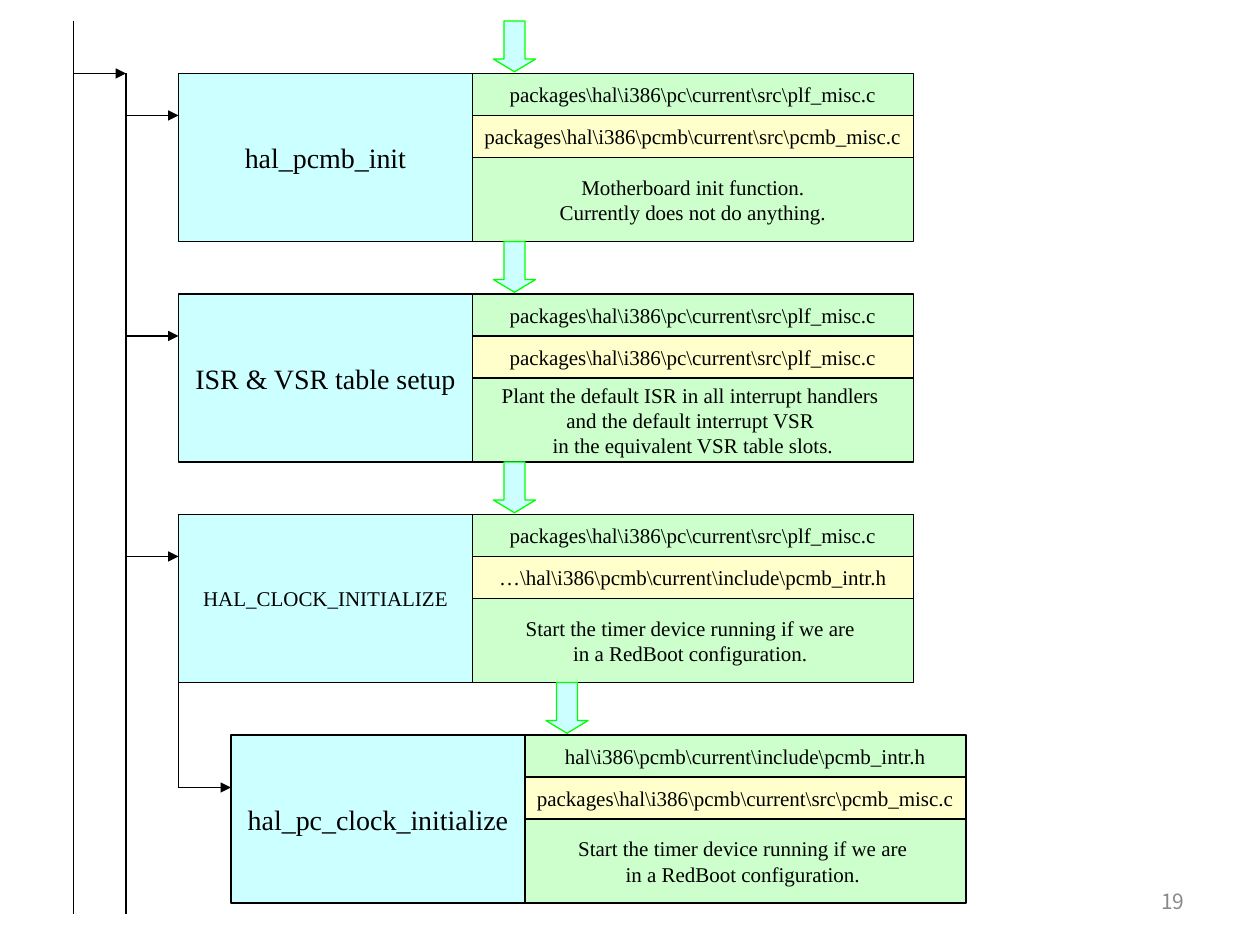
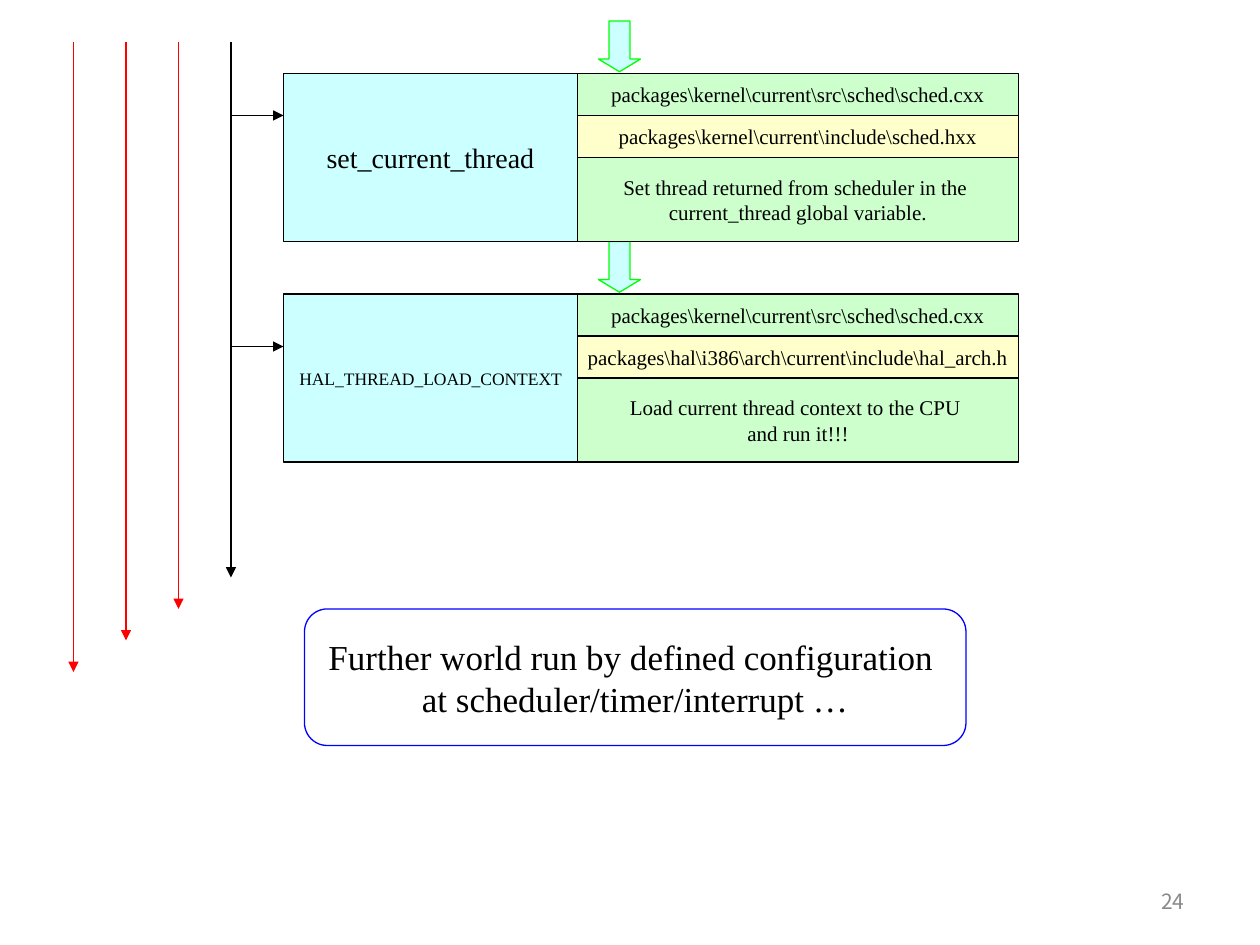
"""Builds two call-flow slides on a grid of twelfths of an inch."""
from pptx import Presentation
from pptx.dml.color import RGBColor
from pptx.enum.shapes import MSO_CONNECTOR as Link, MSO_SHAPE as Shape
from pptx.enum.text import MSO_ANCHOR as Anchor, PP_ALIGN as Align
from pptx.oxml.ns import qn
from pptx.util import Inches, Pt
from lxml.etree import SubElement

BLACK = RGBColor(0x00, 0x00, 0x00)
RED = RGBColor(0xFF, 0x00, 0x00)
BLUE = RGBColor(0x00, 0x00, 0xFF)
LIME = RGBColor(0x00, 0xFF, 0x00)
CYAN = RGBColor(0xCC, 0xFF, 0xFF)
GREEN = RGBColor(0xCC, 0xFF, 0xCC)
CREAM = RGBColor(0xFF, 0xFF, 0xCC)
GRAY = RGBColor(0x89, 0x89, 0x89)
SERIF, SANS = "Times New Roman", "Noto Sans CJK KR"

PLF_MISC = r"packages\hal\i386\pc\current\src\plf_misc.c"
PCMB_MISC = r"packages\hal\i386\pcmb\current\src\pcmb_misc.c"
SCHED = r"packages\kernel\current\src\sched\sched.cxx"
START_TIMER = ["Start the timer device running if we are ", "in a RedBoot configuration. "]

FIRST_TOP, CARD_PITCH, STEP = 7, 21, 5
NAME_WIDTH, DETAIL_WIDTH, CARD_HEIGHT = 28, 42, 16
ROW_HEIGHT, NOTE_HEIGHT = 4, 8

SLIDES = [
    {
        "number": "19",
        "rails": [
            {"start": (7, 2), "end": (7, 87)},
            {"start": (7, 7), "end": (12, 7), "arrow": True},
            {"start": (12, 7), "end": (12, 87)},
            {"start": (17, 65), "end": (17, 75)},
        ],
        "cards": [
            {"row": 0, "left": 17, "entry": 4, "name": "hal_pcmb_init", "size": 16,
             "caller": PLF_MISC, "source": PCMB_MISC,
             "note": ["Motherboard init function.", "Currently does not do anything."]},
            {"row": 1, "left": 17, "entry": 4, "name": "ISR & VSR table setup", "size": 16,
             "caller": PLF_MISC, "source": PLF_MISC,
             "note": ["Plant the default ISR in all interrupt handlers ",
                      "and the default interrupt VSR ",
                      "in the equivalent VSR table slots."]},
            {"row": 2, "left": 17, "entry": 4, "name": "HAL_CLOCK_INITIALIZE", "size": 12,
             "caller": PLF_MISC, "source": r"…\hal\i386\pcmb\current\include\pcmb_intr.h",
             "note": START_TIMER},
            {"row": 3, "left": 22, "entry": 5, "name": "hal_pc_clock_initialize", "size": 16,
             "caller": r"hal\i386\pcmb\current\include\pcmb_intr.h", "source": PCMB_MISC,
             "note": START_TIMER},
        ],
    },
    {
        "number": "24",
        "rails": [
            {"start": (7, 4), "end": (7, 64), "color": RED, "arrow": True},
            {"start": (12, 4), "end": (12, 61), "color": RED, "arrow": True},
            {"start": (17, 4), "end": (17, 58), "color": RED, "arrow": True},
            {"start": (22, 4), "end": (22, 33)},
            {"start": (22, 33), "end": (22, 55), "width": 1.5, "arrow": True},
        ],
        "cards": [
            {"row": 1, "left": 27, "entry": 5, "name": "HAL_THREAD_LOAD_CONTEXT", "size": 10,
             "caller": SCHED, "source": r"packages\hal\i386\arch\current\include\hal_arch.h",
             "note": ["Load current thread context to the CPU ", "and run it!!!"]},
            {"row": 0, "left": 27, "entry": 4, "name": "set_current_thread", "size": 16,
             "caller": SCHED, "source": r"packages\kernel\current\include\sched.hxx",
             "note": ["Set thread returned from scheduler in the ",
                      "current_thread global variable."]},
        ],
        "closing": ["Further world run by defined configuration ",
                    "at scheduler/timer/interrupt …"],
    },
]


def grid(*twelfths):
    return [Inches(count / 12) for count in twelfths]


def write(frame, lines, size, font=SERIF, color=BLACK, align=Align.CENTER, wrap=False):
    frame.word_wrap = wrap
    frame.vertical_anchor = Anchor.MIDDLE
    for index, line in enumerate(lines):
        paragraph = frame.add_paragraph() if index else frame.paragraphs[0]
        paragraph.text = line
        paragraph.alignment = align
        for key, value in {"size": Pt(size), "name": font}.items():
            setattr(paragraph.font, key, value)
        paragraph.font.color.rgb = color


def add_box(slide, kind, place, fill, line=BLACK):
    box = slide.shapes.add_shape(kind, *place)
    box.shadow.inherit = False
    if fill is None:
        box.fill.background()
    else:
        box.fill.solid()
        box.fill.fore_color.rgb = fill
    box.line.color.rgb = line
    box.line.width = Pt(0.75)
    return box


def add_rail(slide, start, end, color=BLACK, width=0.75, arrow=False):
    rail = slide.shapes.add_connector(Link.STRAIGHT, *grid(*start, *end))
    rail.line.color.rgb = color
    rail.line.width = Pt(width)
    if arrow:
        SubElement(rail.line._get_or_add_ln(), qn("a:tailEnd"), type="triangle")
    SubElement(rail._element.spPr, qn("a:effectLst"))


def add_card(slide, row, left, entry, name, size, caller, source, note):
    top = FIRST_TOP + CARD_PITCH * row
    detail_left = left + NAME_WIDTH
    parts = [
        ((left, top, NAME_WIDTH, CARD_HEIGHT), CYAN, [name], size),
        ((detail_left, top + 2 * ROW_HEIGHT, DETAIL_WIDTH, NOTE_HEIGHT), GREEN, note, 12),
        ((detail_left, top, DETAIL_WIDTH, ROW_HEIGHT), GREEN, [caller], 12),
        ((detail_left, top + ROW_HEIGHT, DETAIL_WIDTH, ROW_HEIGHT), CREAM, [source], 12),
    ]
    for place, fill, lines, text_size in parts:
        box = add_box(slide, Shape.RECTANGLE, grid(*place), fill)
        write(box.text_frame, lines, text_size)
    flow = add_box(slide, Shape.DOWN_ARROW, grid(left + 30, top - STEP, 4, 4.84), CYAN, LIME)
    flow.adjustments[1] = 0.3
    add_rail(slide, (left - STEP, top + entry), (left, top + entry), arrow=True)


def main():
    deck = Presentation()
    deck.slide_width, deck.slide_height = Inches(10), Inches(7.5)
    for content in SLIDES:
        slide = deck.slides.add_slide(deck.slide_layouts[6])
        number = slide.shapes.add_textbox(Inches(7.17), Inches(6.95), Inches(2.33), Inches(0.4))
        write(number.text_frame, [content["number"]], 12, SANS, GRAY, Align.RIGHT, True)
        for rail in content["rails"]:
            add_rail(slide, **rail)
        for card in content["cards"]:
            add_card(slide, **card)
        if "closing" in content:
            closing = add_box(slide, Shape.ROUNDED_RECTANGLE, grid(29, 58, 63, 13), None, BLUE)
            write(closing.text_frame, content["closing"], 20)
    deck.save("out.pptx")


if __name__ == "__main__":
    main()
